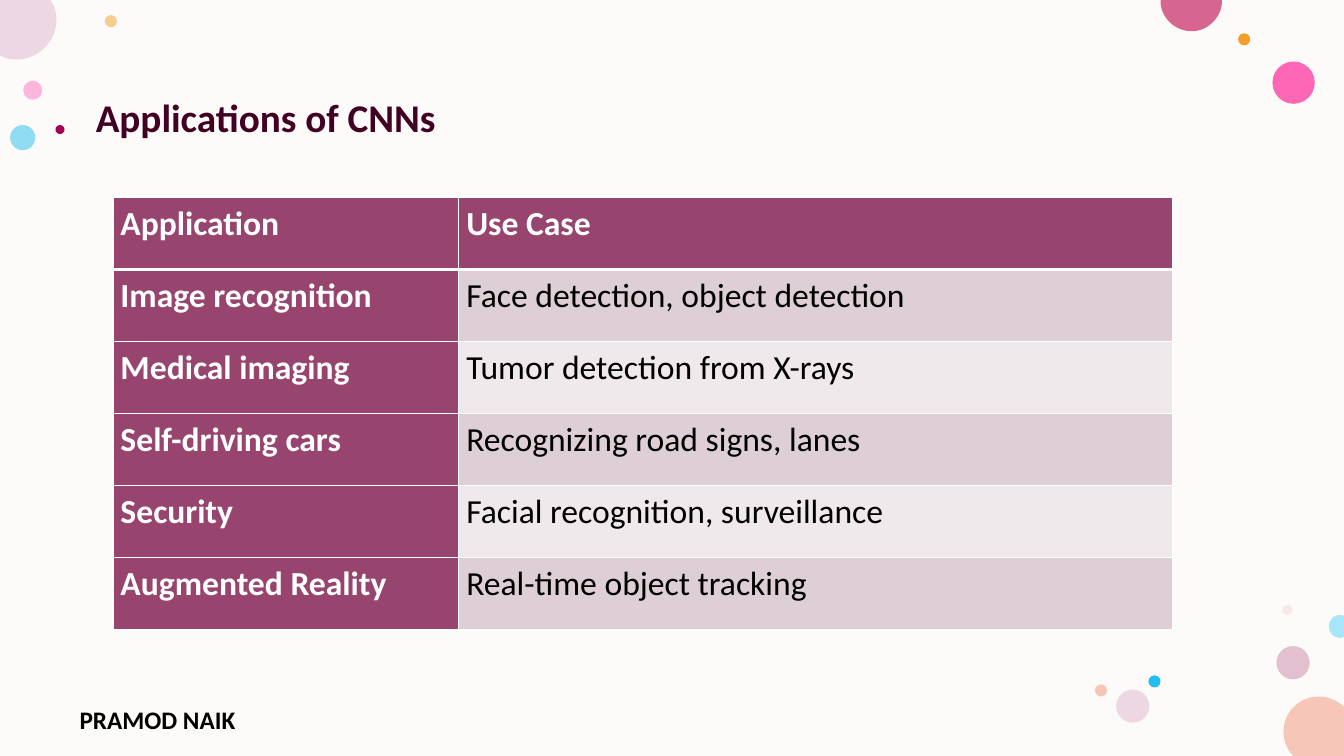
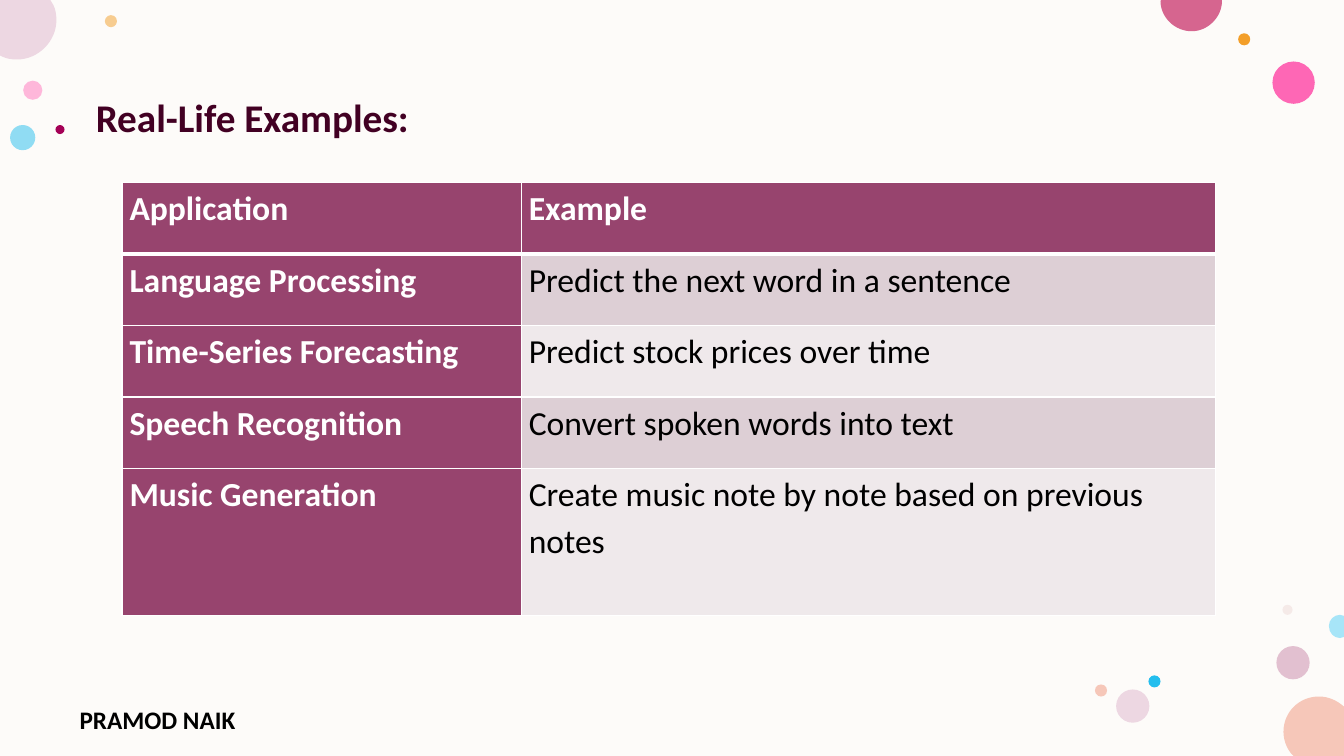
"""Build two table slides on applications of neural networks."""
from dataclasses import dataclass

from lxml.etree import SubElement
from pptx import Presentation
from pptx.dml.color import RGBColor
from pptx.enum.shapes import MSO_SHAPE
from pptx.enum.text import MSO_ANCHOR, MSO_AUTO_SIZE, PP_ALIGN
from pptx.oxml.ns import qn
from pptx.presentation import Presentation as Deck
from pptx.shapes.autoshape import Shape
from pptx.slide import Slide
from pptx.table import _Cell as Cell
from pptx.text.text import TextFrame
from pptx.util import Inches, Pt

WIDTH, HEIGHT = 13.33, 7.5
FONT = "Calibri"
HEADER_BORDERS = {"a:lnL": 1, "a:lnR": 1, "a:lnT": 1, "a:lnB": 3}

CREAM = RGBColor(0xFD, 0xFB, 0xF9)
WHITE = RGBColor(0xFF, 0xFF, 0xFF)
BLACK = RGBColor(0x00, 0x00, 0x00)
TITLE_PLUM = RGBColor(0x42, 0x00, 0x23)
HEADER_PLUM = RGBColor(0x97, 0x44, 0x6E)
BAND_DARK = RGBColor(0xDD, 0xCF, 0xD5)
BAND_LIGHT = RGBColor(0xEF, 0xE9, 0xEB)
PINK = RGBColor(0xFF, 0x75, 0xBD)
HOT_PINK = RGBColor(0xFF, 0x2F, 0x9C)
ORANGE = RGBColor(0xF3, 0x9E, 0x29)
MAUVE = RGBColor(0xC9, 0x87, 0xA8)
BLUE = RGBColor(0x24, 0xBE, 0xEE)
PALE_BLUE = RGBColor(0xA7, 0xE5, 0xF8)
BLUSH = RGBColor(0xE3, 0xBE, 0xBE)
LILAC = RGBColor(0xED, 0xD7, 0xE2)
PEACH = RGBColor(0xF6, 0xC7, 0xB9)
ROSE = RGBColor(0xD6, 0x65, 0x8F)
CRIMSON = RGBColor(0xA4, 0x00, 0x56)


@dataclass(frozen=True)
class Bubble:
    """A decorative circle."""
    left: float
    top: float
    size: float
    color: RGBColor
    opacity: int = 100


@dataclass(frozen=True)
class EdgeBubble:
    """A circle cut by the slide edge; steps hold a line's or a curve's points."""
    color: RGBColor
    start: tuple[float, float]
    steps: tuple[tuple[float, ...], ...]


@dataclass(frozen=True)
class TableSlide:
    """The title and table of one slide."""
    title: str
    left: float
    top: float
    columns: tuple[float, float]
    heights: tuple[float, ...]
    rows: tuple[tuple[str, str], ...]


BUBBLES = (
    Bubble(0.23, 0.8, 0.19, PINK, 50),
    Bubble(1.04, 0.15, 0.12, ORANGE, 50),
    Bubble(12.66, 6.41, 0.33, MAUVE, 50),
    Bubble(0.1, 1.24, 0.25, BLUE, 50),
    Bubble(12.62, 0.61, 0.42, HOT_PINK, 72),
    Bubble(12.28, 0.33, 0.12, ORANGE),
    Bubble(12.72, 6, 0.1, BLUSH, 28),
    Bubble(11.39, 6.7, 0.12, BLUE),
    Bubble(11.07, 6.84, 0.33, LILAC),
    Bubble(10.86, 6.79, 0.12, PEACH),
    Bubble(0.55, 1.24, 0.09, CRIMSON),
)

EDGE_BUBBLES = (
    EdgeBubble(PEACH, (13.08, 6.91), (
        (13.18, 6.91, 13.26, 6.95, 13.33, 7.01),
        (13.33, 7.5), (12.83, 7.5), (12.81, 7.48),
        (12.76, 7.42, 12.73, 7.34, 12.73, 7.26),
        (12.73, 7.06, 12.89, 6.91, 13.08, 6.91))),
    EdgeBubble(LILAC, (0, 0), (
        (0.5, 0), (0.53, 0.05),
        (0.55, 0.09, 0.56, 0.14, 0.56, 0.2),
        (0.56, 0.41, 0.38, 0.59, 0.17, 0.59),
        (0.11, 0.59, 0.06, 0.58, 0.02, 0.56), (0, 0.55))),
    EdgeBubble(ROSE, (11.52, 0), (
        (12.12, 0), (12.12, 0.01),
        (12.12, 0.17, 11.98, 0.31, 11.82, 0.31),
        (11.65, 0.31, 11.51, 0.17, 11.51, 0.01))),
    EdgeBubble(PALE_BLUE, (13.29, 6.1), (
        (13.33, 6.11), (13.33, 6.32), (13.29, 6.33),
        (13.23, 6.33, 13.18, 6.28, 13.18, 6.21),
        (13.18, 6.15, 13.23, 6.1, 13.29, 6.1))),
)

TABLE_SLIDES = (
    TableSlide("Applications of CNNs", 1.12, 1.96, (3.43, 7.08),
               (4.29 / 6,) * 6, (
        ("Application", "Use Case"),
        ("Image recognition", "Face detection, object detection"),
        ("Medical imaging", "Tumor detection from X-rays"),
        ("Self-driving cars", "Recognizing road signs, lanes"),
        ("Security", "Facial recognition, surveillance"),
        ("Augmented Reality", "Real-time object tracking"),
    )),
    TableSlide("Real-Life Examples:", 1.21, 1.81, (3.96, 6.89),
               (0.71,) * 4 + (1.46,), (
        ("Application", "Example"),
        ("Language Processing", "Predict the next word in a sentence"),
        ("Time-Series Forecasting", "Predict stock prices over time"),
        ("Speech Recognition", "Convert spoken words into text"),
        ("Music Generation",
         "Create music note by note based on previous notes"),
    )),
)


def write(text_frame: TextFrame, text: str, size: int, color: RGBColor,
          bold: bool = True) -> None:
    """Fill a text frame with one left-aligned formatted line."""
    text_frame.text = text
    paragraph = text_frame.paragraphs[0]
    paragraph.alignment = PP_ALIGN.LEFT
    font = paragraph.runs[0].font
    font.name, font.size, font.bold = FONT, Pt(size), bold
    font.color.rgb = color


def paint(shape: Shape, color: RGBColor) -> None:
    """Give a shape a flat fill without line or shadow."""
    shape.shadow.inherit = False
    shape.line.fill.background()
    shape.fill.solid()
    shape.fill.fore_color.rgb = color


def add_panel(slide: Slide) -> None:
    """Cover the slide with the cream panel."""
    panel = slide.shapes.add_shape(
        MSO_SHAPE.RECTANGLE, Inches(0), Inches(0), Inches(WIDTH), Inches(HEIGHT))
    paint(panel, CREAM)


def add_bubble(slide: Slide, bubble: Bubble) -> None:
    """Draw a circle."""
    shape = slide.shapes.add_shape(
        MSO_SHAPE.OVAL, Inches(bubble.left), Inches(bubble.top),
        Inches(bubble.size), Inches(bubble.size))
    paint(shape, bubble.color)
    if bubble.opacity < 100:
        color = next(shape._element.spPr.iter(qn("a:srgbClr")))
        SubElement(color, qn("a:alpha")).set("val", str(bubble.opacity * 1000))


def add_edge_bubble(slide: Slide, bubble: EdgeBubble) -> None:
    """Draw a cut circle, turning each group of three points into a curve."""
    points = [(Inches(x), Inches(y)) for step in bubble.steps
              for x, y in zip(step[::2], step[1::2])]
    builder = slide.shapes.build_freeform(*map(Inches, bubble.start))
    builder.add_line_segments(points, close=True)
    shape = builder.convert_to_shape()
    paint(shape, bubble.color)
    lines = iter(list(shape._element.spPr.iter(qn("a:lnTo"))))
    for step in bubble.steps:
        segment = next(lines)
        if len(step) == 6:
            segment.tag = qn("a:cubicBezTo")
            for extra in (next(lines), next(lines)):
                segment.append(extra[0])
                extra.getparent().remove(extra)


def add_title(slide: Slide, text: str) -> None:
    """Place and format the slide title."""
    title = slide.shapes.title
    title.left, title.top = Inches(0.85), Inches(0.93)
    title.width, title.height = Inches(11.66), Inches(0.6)
    write(title.text_frame, text, 28, TITLE_PLUM)
    title.text_frame.auto_size = MSO_AUTO_SIZE.NONE
    title.text_frame.vertical_anchor = MSO_ANCHOR.TOP
    title.text_frame.paragraphs[0].line_spacing = 0.9


def add_footer(slide: Slide) -> None:
    """Add the author line at the bottom left."""
    footer = slide.shapes.add_textbox(
        Inches(0.69), Inches(6.94), Inches(2.45), Inches(0.4))
    footer.text_frame.word_wrap = True
    write(footer.text_frame, "PRAMOD NAIK", 18, BLACK)


def add_header_borders(cell: Cell) -> None:
    """Draw white borders, with a heavier one below the header."""
    properties = cell._tc.get_or_add_tcPr()
    for position, (tag, width) in enumerate(HEADER_BORDERS.items()):
        line = SubElement(properties, qn(tag), w=str(Pt(width)))
        fill = SubElement(line, qn("a:solidFill"))
        SubElement(fill, qn("a:srgbClr"), val=str(WHITE))
        properties.insert(position, line)


def add_table(slide: Slide, content: TableSlide) -> None:
    """Add the table with plum headers and banded rows."""
    table = slide.shapes.add_table(
        len(content.rows), len(content.columns),
        Inches(content.left), Inches(content.top),
        Inches(sum(content.columns)), Inches(sum(content.heights))).table
    table.first_col = True
    for column, width in zip(table.columns, content.columns):
        column.width = Inches(width)
    for row_index, texts in enumerate(content.rows):
        table.rows[row_index].height = Inches(content.heights[row_index])
        for column_index, text in enumerate(texts):
            cell = table.cell(row_index, column_index)
            header = row_index == 0 or column_index == 0
            band = BAND_DARK if row_index % 2 else BAND_LIGHT
            cell.margin_left = cell.margin_right = Pt(5.4)
            cell.margin_top = cell.margin_bottom = Inches(0)
            cell.fill.solid()
            cell.fill.fore_color.rgb = HEADER_PLUM if header else band
            if row_index == 0:
                add_header_borders(cell)
            write(cell.text_frame, text, 24, WHITE if header else BLACK, header)
            paragraph = cell.text_frame.paragraphs[0]
            paragraph.line_spacing = 1.15
            paragraph.space_after = Pt(8)


def add_table_slide(presentation: Deck, content: TableSlide) -> None:
    """Add one slide with the shared decoration and its table."""
    slide = presentation.slides.add_slide(presentation.slide_layouts[5])
    add_panel(slide)
    for bubble in BUBBLES:
        add_bubble(slide, bubble)
    for edge_bubble in EDGE_BUBBLES:
        add_edge_bubble(slide, edge_bubble)
    add_footer(slide)
    title = slide.shapes.title
    slide.shapes._spTree.append(title._element)
    add_title(slide, content.title)
    add_table(slide, content)


def main() -> None:
    """Build and save the presentation."""
    presentation = Presentation()
    presentation.slide_width = Inches(WIDTH)
    presentation.slide_height = Inches(HEIGHT)
    for content in TABLE_SLIDES:
        add_table_slide(presentation, content)
    presentation.save("out.pptx")


if __name__ == "__main__":
    main()
